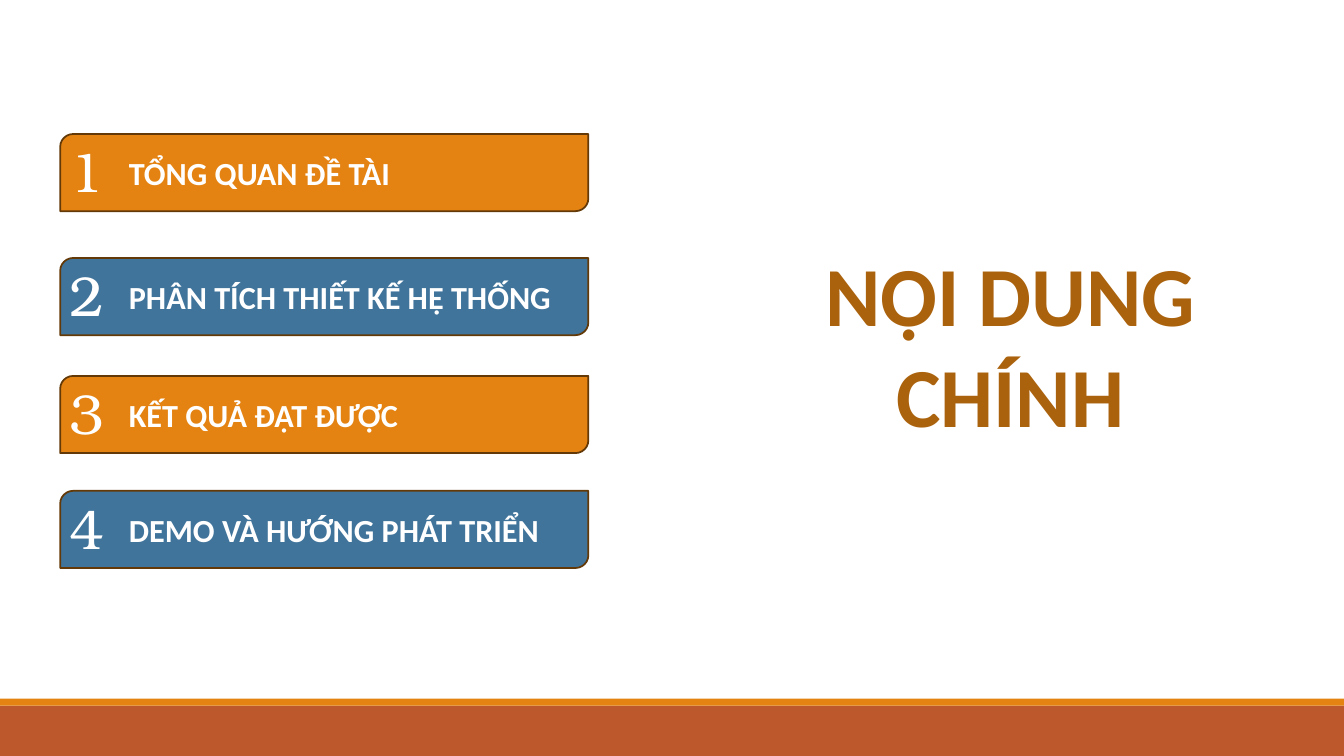
from pptx import Presentation
from pptx.dml.color import RGBColor
from pptx.enum.shapes import MSO_SHAPE
from pptx.enum.text import MSO_AUTO_SIZE, PP_ALIGN
from pptx.util import Inches, Pt

RECT = MSO_SHAPE.RECTANGLE
TAB = MSO_SHAPE.ROUND_2_DIAG_RECTANGLE
GROW = MSO_AUTO_SIZE.SHAPE_TO_FIT_TEXT
LEFT, CENTER = PP_ALIGN.LEFT, PP_ALIGN.CENTER

COLORS = {
    "orange": "E48312",
    "blue": "40749B",
    "rust": "BD582C",
    "outline": "643908",
    "title": "AB620D",
    "white": "FFFFFF",
}
FORMATS = {
    "title": {"name": "Calibri", "size": Pt(60), "bold": True},
    "item": {"name": "Calibri", "size": Pt(23), "bold": True},
    "number": {"name": "TeX Gyre Bonum", "size": Pt(40), "bold": False},
}


class Deck:
    """Places elements by percent of the slide's width and height."""

    def __init__(self, prs):
        self.prs = prs
        self.s = prs.slides.add_slide(prs.slide_layouts[6])

    def box(self, x, y, w, h):
        pw, ph = self.prs.slide_width, self.prs.slide_height
        return [round(v * full / 100) for v, full in ((x, pw), (y, ph), (w, pw), (h, ph))]

    def color(self, name):
        return RGBColor.from_string(COLORS[name])

    def shape(self, kind, area, fill, line=None):
        sp = self.s.shapes.add_shape(kind, *self.box(*area))
        sp.shadow.inherit = False
        sp.fill.solid()
        sp.fill.fore_color.rgb = self.color(fill)
        if line:
            sp.line.color.rgb = self.color(line)
            sp.line.width = Pt(1.25)
        else:
            sp.line.fill.background()

    def text(self, text, area, style, color="white", align=LEFT):
        tf = self.s.shapes.add_textbox(*self.box(*area)).text_frame
        tf.word_wrap = True
        tf.auto_size = GROW
        p = tf.paragraphs[0]
        p.alignment = align
        r = p.add_run()
        r.text = text
        for key, value in FORMATS[style].items():
            setattr(r.font, key, value)
        r.font.color.rgb = self.color(color)


def main():
    prs = Presentation()
    prs.slide_width, prs.slide_height = Inches(13.33), Inches(7.5)
    deck = Deck(prs)

    # Footer bands
    deck.shape(RECT, (0, 93.33, 100, 6.67), "rust")
    deck.shape(RECT, (0, 92.4, 100, 0.93), "orange")

    # Title
    deck.text("NỘI DUNG CHÍNH", (59.19, 31.47, 31.96, 28.27), "title", "title", CENTER)

    # Numbered agenda bars
    items = [
        (17.73, "TỔNG QUAN ĐỀ TÀI"),
        (34.13, "PHÂN TÍCH THIẾT KẾ HỆ THỐNG"),
        (49.73, "KẾT QUẢ ĐẠT ĐƯỢC"),
        (64.93, "DEMO VÀ HƯỚNG PHÁT TRIỂN"),
    ]
    for i, (top, label) in enumerate(items):
        deck.shape(TAB, (4.48, top, 39.3, 10.2), ("orange", "blue")[i % 2], "outline")
        deck.text(label, (8.85, top + 1.87, 33, 6.53), "item")
        deck.text(str(i + 1), (4.43, top - 0.33, 2.55, 10.27), "number")

    prs.save("out.pptx")


if __name__ == "__main__":
    main()
